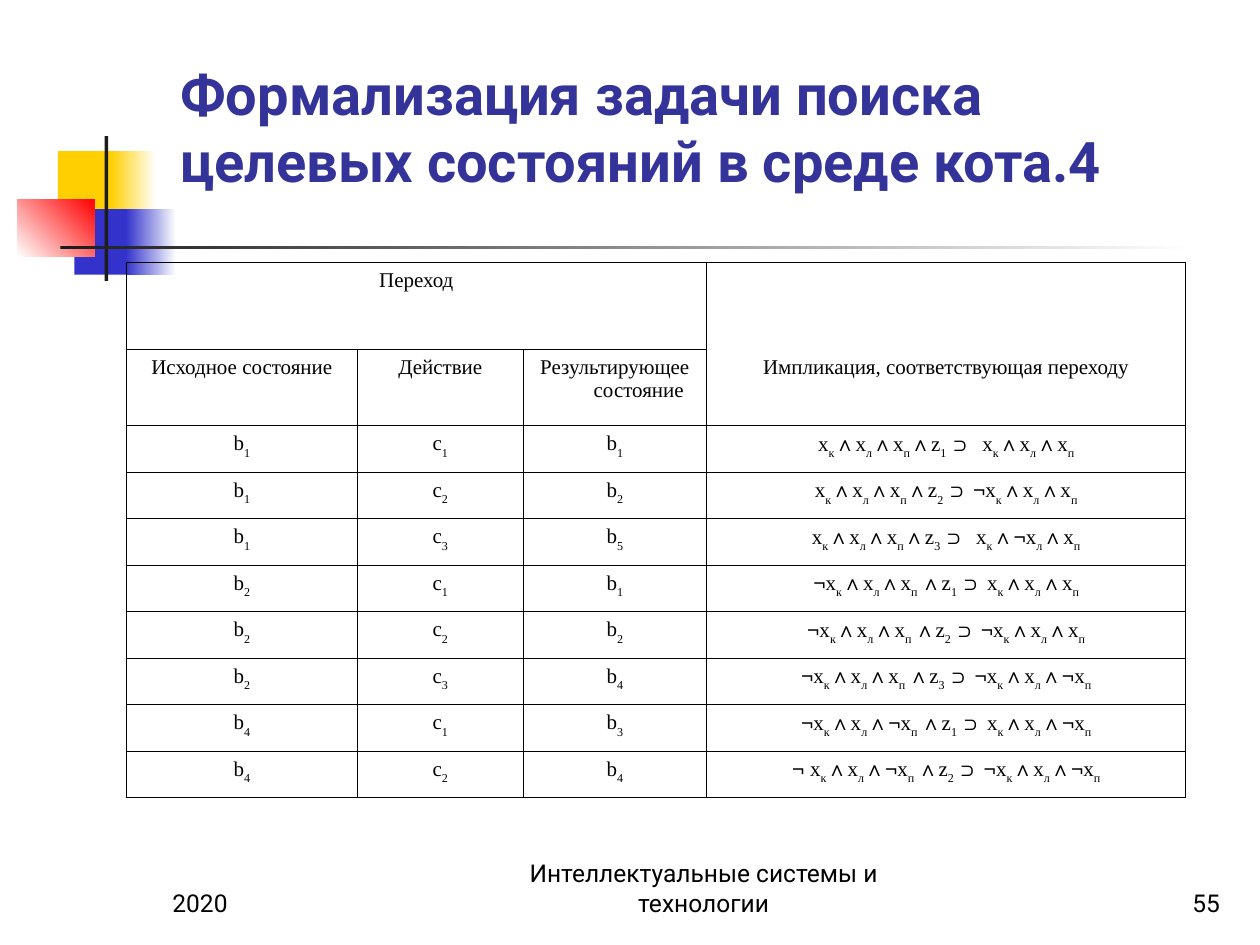
from dataclasses import dataclass
from itertools import groupby
from typing import Optional

from lxml.etree import SubElement
from pptx import Presentation
from pptx.dml.color import RGBColor
from pptx.enum.shapes import MSO_SHAPE as Shape
from pptx.enum.text import MSO_ANCHOR as Anchor, MSO_AUTO_SIZE as AutoSize, PP_ALIGN as Align
from pptx.oxml.ns import qn
from pptx.util import Inches, Pt

WHITE = RGBColor(0xFF, 0xFF, 0xFF)
BLACK = RGBColor(0x00, 0x00, 0x00)
CHARCOAL = RGBColor(0x1C, 0x1C, 0x1C)
YELLOW = RGBColor(0xFF, 0xCF, 0x01)
BLUE = RGBColor(0x33, 0x33, 0xCC)
RED = RGBColor(0xFF, 0x00, 0x00)
INDIGO = RGBColor(0x33, 0x33, 0x99)

# The slide is a grid of 100 columns by 75 rows
COLUMNS, ROWS = 100, 75
WIDTH, HEIGHT = Inches(10), Inches(7.5)

SERIF, SYMBOL, SANS = "Times New Roman", "Arial", "Roboto"
OPERATORS = "∧⊃¬"
SUBSCRIPTS = "клп12345"

TITLE = "Формализация задачи поиска целевых состояний в среде кота.4"
HEADINGS = ["Исходное состояние", "Действие", "Результирующее состояние",
            "Импликация, соответствующая переходу"]
TRANSITIONS = [
    ("b1", "c1", "b1", "xк∧xл∧xп∧z1 ⊃  xк∧xл∧xп"),
    ("b1", "c2", "b2", "xк∧xл∧xп∧z2 ⊃ ¬xк∧xл∧xп"),
    ("b1", "c3", "b5", "xк∧xл∧xп∧z3 ⊃  xк∧¬xл∧xп"),
    ("b2", "c1", "b1", "¬xк∧xл∧xп ∧z1 ⊃ xк∧xл∧xп"),
    ("b2", "c2", "b2", "¬xк∧xл∧xп ∧z2 ⊃ ¬xк∧xл∧xп"),
    ("b2", "c3", "b4", "¬xк∧xл∧xп ∧z3 ⊃ ¬xк∧xл∧¬xп"),
    ("b4", "c1", "b3", "¬xк∧xл∧¬xп ∧z1 ⊃ xк∧xл∧¬xп"),
    ("b4", "c2", "b4", "¬ xк∧xл∧¬xп ∧z2 ⊃ ¬xк∧xл∧¬xп"),
]
COLUMN_SPANS = [18.4, 13.1, 14.6, 38]
ROW_SPANS = [6.95, 6.05] + [3.69] * len(TRANSITIONS)


@dataclass
class Area:
    column: float
    row: float
    columns: float
    rows: float

    def box(self) -> tuple:
        return across(self.column), down(self.row), across(self.columns), down(self.rows)


@dataclass
class Ornament:
    area: Area
    color: RGBColor
    fade: Optional[RGBColor] = None
    angle: int = 0


@dataclass
class Footer:
    text: str
    area: Area
    align: Align


ORNAMENTS = [
    Ornament(Area(4.6, 12, 4.8, 5.2), YELLOW),
    Ornament(Area(8.8, 12, 3.6, 5.2), YELLOW, WHITE),
    Ornament(Area(5.9, 16.6, 4.6, 5.2), BLUE),
    Ornament(Area(10, 16.6, 4, 5.2), BLUE, WHITE),
    Ornament(Area(1.4, 15.8, 6.1, 4.6), WHITE, RED, 45),
    Ornament(Area(8.3, 10.8, 0.3, 11.5), CHARCOAL),
    Ornament(Area(4.8, 19.5, 90, 0.3), CHARCOAL, WHITE),
]
FOOTERS = [
    Footer("Интеллектуальные системы и технологии", Area(40, 68.3, 31.7, 5), Align.CENTER),
    Footer("55", Area(77, 68.3, 20.8, 5), Align.RIGHT),
    Footer("2020", Area(12.7, 68.3, 20.8, 5), Align.LEFT),
]


def across(columns: float) -> int:
    return round(WIDTH * columns / COLUMNS)


def down(rows: float) -> int:
    return round(HEIGHT * rows / ROWS)


def format_font(font, color: RGBColor = BLACK, **values) -> None:
    for attribute, value in values.items():
        setattr(font, attribute, value)
    font.color.rgb = color


def draw_ornament(slide, ornament: Ornament) -> None:
    block = slide.shapes.add_shape(Shape.RECTANGLE, *ornament.area.box())
    block.shadow.inherit = False
    block.line.fill.background()
    if ornament.fade is None:
        block.fill.solid()
        block.fill.fore_color.rgb = ornament.color
        return
    block.fill.gradient()
    block.fill.gradient_angle = ornament.angle
    for stop, color in zip(block.fill.gradient_stops, (ornament.color, ornament.fade)):
        stop.color.rgb = color


def draw_footer(slide, footer: Footer) -> None:
    frame = slide.shapes.add_textbox(*footer.area.box()).text_frame
    frame.word_wrap = True
    frame.vertical_anchor = Anchor.BOTTOM
    line = frame.paragraphs[0]
    line.alignment = footer.align
    line.text = footer.text
    format_font(line.runs[0].font, size=Pt(14), name=SANS)


def split_formula(formula: str) -> list[tuple[str, str]]:
    """Group characters by kind; a space belongs to the kind before it."""
    kinds = []
    for char in formula:
        if char == " ":
            kinds.append(kinds[-1])
        elif char in OPERATORS:
            kinds.append("operator")
        else:
            kinds.append("subscript" if char in SUBSCRIPTS else "letter")
    return [(kind, "".join(char for _, char in group))
            for kind, group in groupby(zip(kinds, formula), key=lambda pair: pair[0])]


def write_cell(cell, parts: list[tuple[str, str]]) -> None:
    line = cell.text_frame.paragraphs[0]
    line.alignment = Align.CENTER
    # Hanging indent
    for key, indent in {"marL": 0.38, "indent": -0.38}.items():
        line._p.get_or_add_pPr().set(key, str(Inches(indent)))
    for kind, text in parts:
        run = line.add_run()
        run.text = text
        format_font(run.font, size=Pt(12), name=SYMBOL if kind == "operator" else SERIF)
        if kind == "subscript":
            run._r.get_or_add_rPr().set("baseline", "-30000")


def frame_cell(cell, open_side: str = "") -> None:
    properties = cell._tc.get_or_add_tcPr()
    for side in "LRTB":
        edge = SubElement(properties, qn(f"a:ln{side}"), w=str(Pt(0.45)))
        if side == open_side:
            SubElement(edge, qn("a:noFill"))
        else:
            SubElement(SubElement(edge, qn("a:solidFill")), qn("a:srgbClr"), val=str(BLACK))
    cell.fill.background()


def draw_transitions(slide) -> None:
    area = Area(10, 20.8, sum(COLUMN_SPANS), sum(ROW_SPANS))
    table = slide.shapes.add_table(len(ROW_SPANS), len(COLUMN_SPANS), *area.box()).table
    table.first_row = table.horz_banding = False
    for column, span in zip(table.columns, COLUMN_SPANS):
        column.width = across(span)
    for row, span in zip(table.rows, ROW_SPANS):
        row.height = down(span)

    # The last heading takes two cells with no line between them
    open_sides = {(0, 3): "B", (1, 3): "T"}
    for r in range(len(ROW_SPANS)):
        for c in range(len(COLUMN_SPANS)):
            frame_cell(table.cell(r, c), open_sides.get((r, c), ""))

    table.cell(0, 0).merge(table.cell(0, 2))
    write_cell(table.cell(0, 0), [("letter", "Переход")])
    for c, heading in enumerate(HEADINGS):
        write_cell(table.cell(1, c), [("letter", heading)])
    for r, transition in enumerate(TRANSITIONS, start=2):
        for c, formula in enumerate(transition):
            write_cell(table.cell(r, c), split_formula(formula))


def place_title(slide) -> None:
    title = slide.shapes.title
    title.left, title.top, title.width, title.height = Area(13.3, 1.7, 85.2, 14.2).box()
    frame = title.text_frame
    frame.auto_size = AutoSize.NONE
    frame.vertical_anchor = Anchor.BOTTOM
    line = frame.paragraphs[0]
    line.alignment = Align.LEFT
    line.text = TITLE
    format_font(line.runs[0].font, INDIGO, size=Pt(32), name=SANS, bold=True)


def main() -> None:
    deck = Presentation()
    deck.slide_width, deck.slide_height = WIDTH, HEIGHT
    slide = deck.slides.add_slide(deck.slide_layouts[5])
    place_title(slide)
    for ornament in ORNAMENTS:
        draw_ornament(slide, ornament)
    draw_transitions(slide)
    for footer in FOOTERS:
        draw_footer(slide, footer)
    deck.save("out.pptx")


if __name__ == "__main__":
    main()
